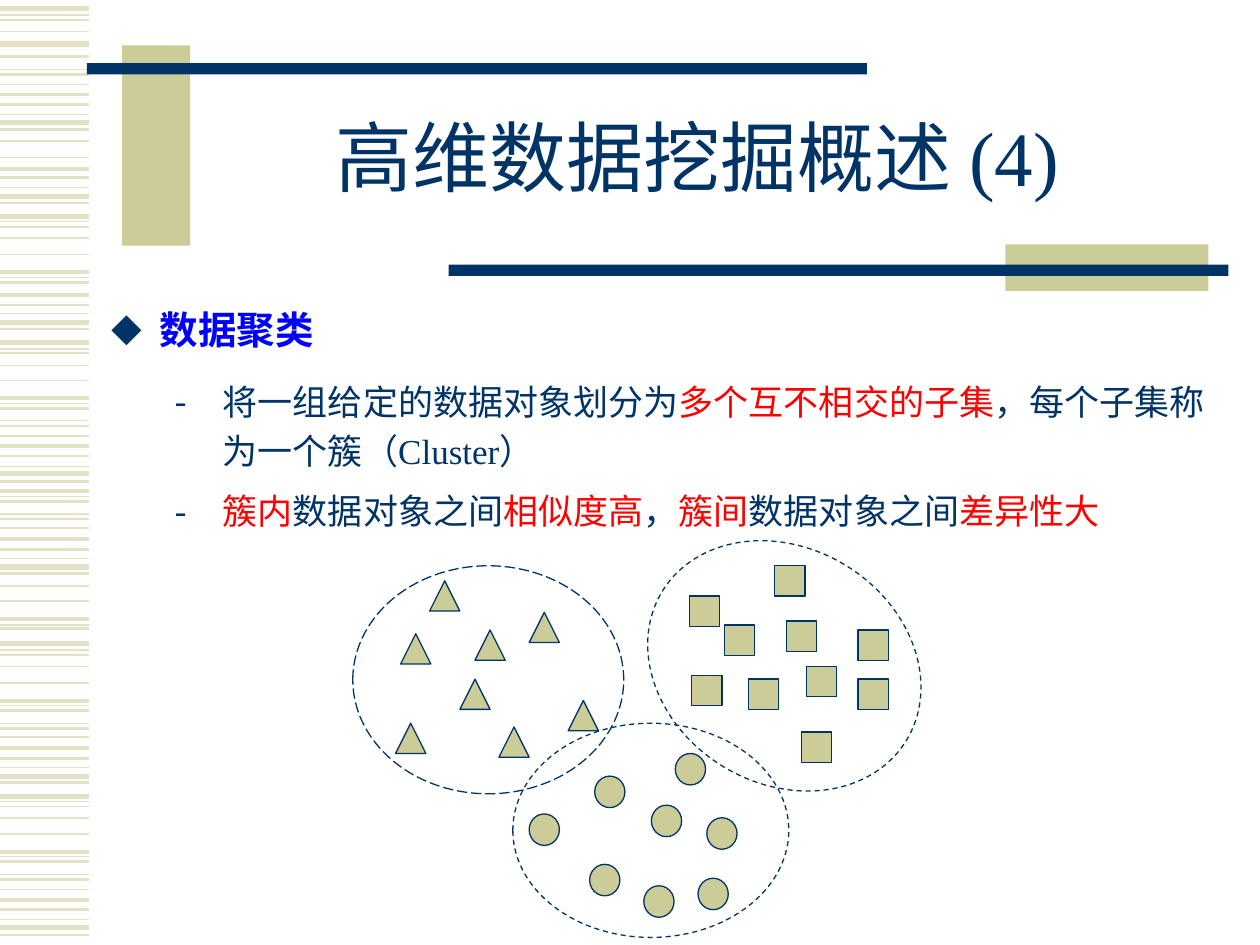
from lxml.etree import SubElement
from pptx import Presentation
from pptx.dml.color import RGBColor
from pptx.enum.dml import MSO_LINE
from pptx.enum.shapes import MSO_CONNECTOR, MSO_SHAPE
from pptx.enum.text import MSO_ANCHOR, MSO_AUTO_SIZE, PP_ALIGN
from pptx.oxml.ns import qn
from pptx.util import Emu, Pt

PX = 9144
NAVY = RGBColor(0x00, 0x33, 0x66)
KHAKI = RGBColor(0xCC, 0xCC, 0x99)
PALE = RGBColor(0xE3, 0xE2, 0xC7)
BLUE = RGBColor(0x00, 0x00, 0xFF)
RED = RGBColor(0xFF, 0x00, 0x00)
SERIF = "Times New Roman"
SANS = "Noto Sans CJK SC"

STRIPES = {
    3: [7, 35, 97, 156, 172, 256, 272, 376, 450, 511, 616, 632, 736],
    2.25: [75, 134, 216, 234, 316, 354, 390, 428, 491, 556, 594, 676, 714],
    1.5: [45, 59, 83, 103, 141, 161, 224, 242, 261, 324, 338, 362, 382, 398,
          412, 436, 455, 499, 564, 578, 602, 621, 684, 698, 722, 742],
    1: [16, 25, 67, 112, 125, 180, 189, 202, 280, 290, 302, 346, 419, 465,
        477, 520, 529, 542, 585, 640, 649, 662, 706],
    0.75: [12, 55, 91, 149, 176, 220, 249, 277, 320, 334, 370, 394, 408, 443,
           496, 516, 560, 574, 609, 636, 680, 694, 730],
}
BARS = [
    ((97, 36, 54, 159), KHAKI),
    ((69, 50, 619, 9), NAVY),
    ((798, 194, 161, 37), KHAKI),
    ((356, 210, 619, 9), NAVY),
]
MARKERS = [
    (MSO_SHAPE.FLOWCHART_EXTRACT, 24,
     [(318, 503), (365, 539), (314, 574), (451, 556), (396, 577), (377, 500),
      (341, 461), (420, 486)]),
    (MSO_SHAPE.FLOWCHART_PROCESS, 24,
     [(547, 473), (615, 449), (549, 536), (575, 496), (624, 493), (594, 539),
      (640, 529), (636, 581), (681, 500), (681, 539)]),
    (MSO_SHAPE.OVAL, 25,
     [(472, 616), (536, 598), (517, 639), (420, 646), (561, 649), (511, 703),
      (554, 697), (468, 686)]),
]
CLUSTERS = [
    ((280, 449, 215, 181), MSO_LINE.LONG_DASH, 0),
    ((509, 435, 227, 187), MSO_LINE.DASH, 31.4),
    ((407, 574, 219, 170), MSO_LINE.DASH, 0),
]
SPACED = {"space_before": Pt(6), "space_after": Pt(6), "line_spacing": Pt(28)}
TIGHT = {"space_before": Pt(6), "line_spacing": 0.95}
HEADING = {"size": Pt(22), "bold": True}
DETAIL = {"size": Pt(20), "bold": False}
DIAMOND = ("◆", SANS, 80)
DASH = ("-", SERIF, 100)
BULLETS = [
    (0, 38, DIAMOND, SPACED, HEADING, [("数据聚类", BLUE, SERIF)]),
    (1, 88, DASH, SPACED, DETAIL, [
        ("将一组给定的数据对象划分为", NAVY, SERIF),
        ("多个互不相交的子集", RED, SERIF),
        ("，每个子集称为一个簇（Cluster）", NAVY, SERIF),
    ]),
    (1, 88, DASH, TIGHT, DETAIL, [
        ("簇内", RED, SERIF),
        ("数据对象之间", NAVY, SERIF),
        ("相似度高", RED, SANS),
        ("，", NAVY, SANS),
        ("簇间", RED, SANS),
        ("数据对象之间", NAVY, SANS),
        ("差异性大", RED, SANS),
    ]),
]


def px(value):
    return Emu(value * PX)


def apply(target, values):
    for name, value in values.items():
        setattr(target, name, value)


class SlideBuilder:
    def __init__(self, page):
        self.page = page
        self.shapes = page.shapes

    def stripe(self, y, weight):
        line = self.shapes.add_connector(
            MSO_CONNECTOR.STRAIGHT, 0, px(y), px(71), px(y))
        line.line.color.rgb = PALE
        line.line.width = Pt(weight)
        SubElement(line._element.spPr, qn("a:effectLst"))

    def shape(self, kind, area, fill=None, outline=None, dash=None, turn=0):
        shape = self.shapes.add_shape(kind, *map(px, area))
        shape.shadow.inherit = False
        shape.rotation = turn
        if fill is None:
            shape.fill.background()
        else:
            shape.fill.solid()
            shape.fill.fore_color.rgb = fill
        if outline is None:
            shape.line.fill.background()
        else:
            shape.line.color.rgb = outline
            apply(shape.line, {"width": Pt(0.75), "dash_style": dash})

    def span(self, para, text, color, font, values):
        span = para.add_run()
        span.text = text
        apply(span.font, {"name": font, **values})
        span.font.color.rgb = color
        SubElement(span.font._element, qn("a:ea"), typeface=SANS)

    def title(self, text, area):
        title = self.shapes.title
        apply(title, dict(zip(("left", "top", "width", "height"), map(px, area))))
        apply(title.text_frame, {"word_wrap": True,
                                 "auto_size": MSO_AUTO_SIZE.NONE,
                                 "vertical_anchor": MSO_ANCHOR.MIDDLE})
        para = title.text_frame.paragraphs[0]
        apply(para, {"alignment": PP_ALIGN.CENTER, "line_spacing": 0.85})
        self.span(para, text, NAVY, SERIF, {"size": Pt(44)})

    def mark(self, para, margin, char, font, percent):
        props = para._p.get_or_add_pPr()
        props.set("marL", str(px(margin)))
        props.set("indent", str(px(-38)))
        color = SubElement(props, qn("a:buClr"))
        SubElement(color, qn("a:srgbClr"), val=str(NAVY))
        SubElement(props, qn("a:buSzPct"), val=str(percent * 1000))
        SubElement(props, qn("a:buFont"), typeface=font)
        SubElement(props, qn("a:buChar"), char=char)

    def bullets(self, items, area):
        frame = self.shapes.add_textbox(*map(px, area)).text_frame
        frame.word_wrap = True
        for index, (level, margin, mark, spacing, font, spans) in enumerate(items):
            para = frame.add_paragraph() if index else frame.paragraphs[0]
            apply(para, {"level": level, **spacing})
            self.mark(para, margin, *mark)
            for text, shade, face in spans:
                self.span(para, text, shade, face, font)


def main():
    deck = Presentation()
    apply(deck, {"slide_width": px(1000), "slide_height": px(750)})
    builder = SlideBuilder(deck.slides.add_slide(deck.slide_layouts[5]))
    for weight, rows in STRIPES.items():
        for y in rows:
            builder.stripe(y, weight)
    for area, color in BARS:
        builder.shape(MSO_SHAPE.RECTANGLE, area, color)
    builder.bullets(BULLETS, (79, 236, 898, 403))
    builder.title("高维数据挖掘概述 (4)", (150, 67, 807, 125))
    for kind, height, places in MARKERS:
        for x, y in places:
            builder.shape(kind, (x, y, 24, height), KHAKI, NAVY)
    for area, dash, turn in CLUSTERS:
        builder.shape(MSO_SHAPE.OVAL, area, None, NAVY, dash, turn)
    deck.save("out.pptx")


if __name__ == "__main__":
    main()
